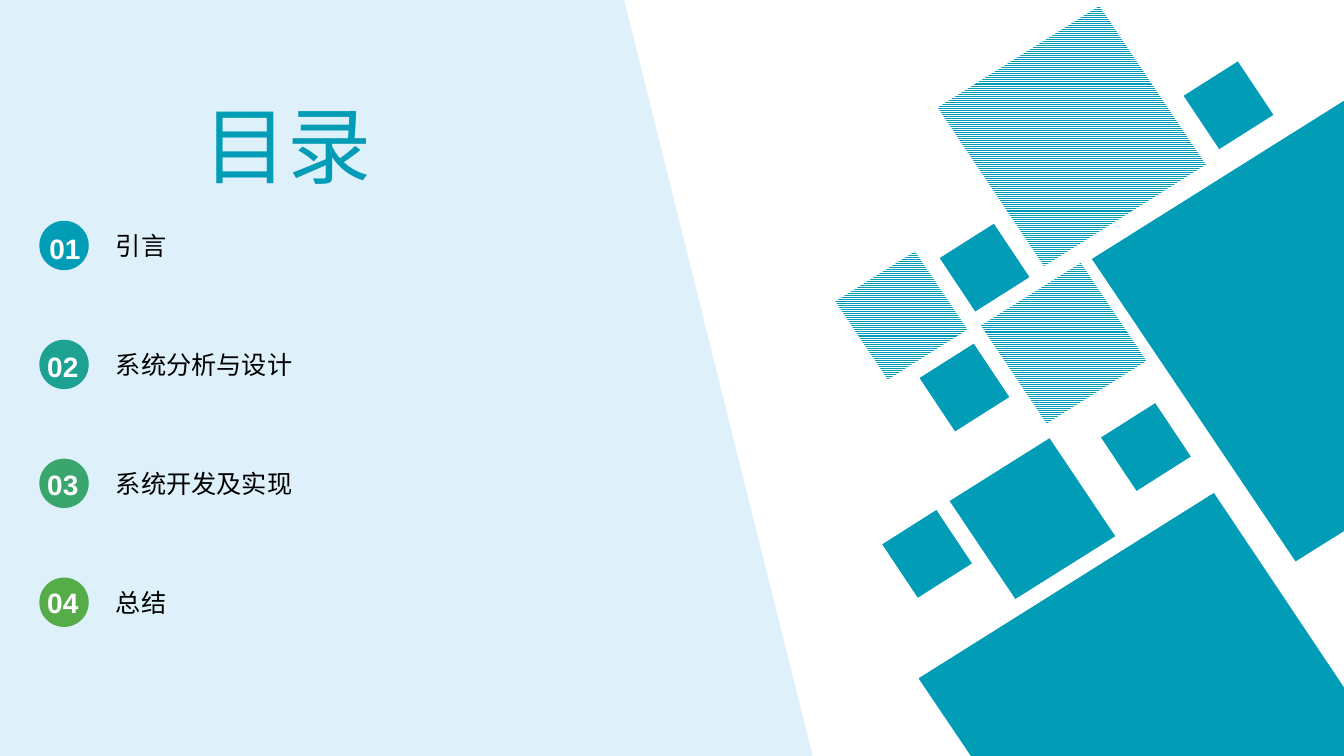
import pptx
import pptx.util
import pptx.dml.color
import pptx.enum.dml
import pptx.enum.shapes
import pptx.enum.text

Inches = pptx.util.Inches
SHAPE = pptx.enum.shapes.MSO_SHAPE
PATTERN = pptx.enum.dml.MSO_PATTERN
ANCHOR = pptx.enum.text.MSO_ANCHOR
ALIGN = pptx.enum.text.PP_ALIGN

TEAL, WHITE, BLACK, PALE_BLUE = "019CB6", "FFFFFF", "000000", "DEF0FA"
FONT = "Arial"
LIGHT, DARK = PATTERN.LIGHT_HORIZONTAL, PATTERN.DARK_HORIZONTAL

TITLE = "目录"
CHAPTERS = [
    ("01", "引言", TEAL, 0.39),
    ("02", "系统分析与设计", "1DA192", 0.37),
    ("03", "系统开发及实现", "39A66E", 0.37),
    ("04", "总结", "55AC49", 0.37),
]
FIRST_TOP, CHAPTER_STEP, NUMBER_STEP = 2.19, 1.18, 1.17

PANEL = [(0, 0), (6.19, 0), (8.06, 7.5), (0, 7.5)]
LOWER_TILE = [(12.04, 4.89), (13.33, 6.82), (13.33, 7.5), (9.63, 7.5), (9.11, 6.73)]
RIGHT_TILE = [(13.33, 1), (10.83, 2.57), (12.85, 5.57), (13.33, 5.27)]

TILE_ROTATION = 12
SMALL, MIDDLE, MEDIUM, LARGE = (0.91, 0.89), (1.34, 1.3), (1.68, 1.63), (2.72, 2.64)
TILES = [
    (9.4, 4.33, MEDIUM, None),
    (9.11, 3.4, SMALL, None),
    (11.73, 0.6, SMALL, None),
    (9.71, 2.59, MEDIUM, LIGHT),
    (10.91, 3.99, SMALL, None),
    (9.27, 0.03, LARGE, LIGHT),
    (9.31, 2.21, SMALL, None),
    (8.27, 2.48, MIDDLE, LIGHT),
    (8.74, 5.05, SMALL, DARK),
]


def rgb(value):
    return pptx.dml.color.RGBColor.from_string(value)


def paint(shape, color, pattern=None):
    shape.shadow.inherit = False
    shape.line.fill.background()
    if pattern is None:
        shape.fill.solid()
        shape.fill.fore_color.rgb = rgb(color)
    else:
        shape.fill.patterned()
        shape.fill.pattern = pattern
        shape.fill.fore_color.rgb = rgb(color)
        shape.fill.back_color.rgb = rgb(WHITE)


def add_outline(slide, points, color, pattern=None):
    corners = [(Inches(x), Inches(y)) for x, y in points]
    builder = slide.shapes.build_freeform(*corners[0])
    builder.add_line_segments(corners[1:], close=True)
    paint(builder.convert_to_shape(), color, pattern)


def add_preset(slide, kind, left, top, size, color, pattern=None, rotation=0):
    shape = slide.shapes.add_shape(kind, Inches(left), Inches(top), *map(Inches, size))
    shape.rotation = rotation
    paint(shape, color, pattern)


def add_text(slide, text, left, top, width, height, size, color, bold=False, align=ALIGN.LEFT):
    box = slide.shapes.add_textbox(*map(Inches, (left, top, width, height)))
    frame = box.text_frame
    frame.word_wrap = True
    frame.text = text
    paragraph = frame.paragraphs[0]
    paragraph.alignment = align
    paragraph.font.name = FONT
    paragraph.font.size = pptx.util.Pt(size)
    paragraph.font.bold = bold
    paragraph.font.color.rgb = rgb(color)
    return frame


def main():
    deck = pptx.Presentation()
    deck.slide_width, deck.slide_height = Inches(13.33), Inches(7.5)
    slide = deck.slides.add_slide(deck.slide_layouts[6])

    add_outline(slide, PANEL, PALE_BLUE)
    add_outline(slide, LOWER_TILE, TEAL, DARK)
    add_outline(slide, RIGHT_TILE, TEAL)
    for left, top, size, pattern in TILES:
        add_preset(slide, SHAPE.DIAMOND, left, top, size, TEAL, pattern, TILE_ROTATION)

    for index, (number, chapter, color, number_left) in enumerate(CHAPTERS):
        top = FIRST_TOP + index * CHAPTER_STEP
        label = add_text(slide, chapter, 1.04, top - 0.08, 5.6, 0.65, 18, BLACK)
        label.vertical_anchor = ANCHOR.MIDDLE
        label.margin_left, label.margin_right = Inches(0.11), Inches(0.09)
        label.margin_top = label.margin_bottom = 0
        add_preset(slide, SHAPE.OVAL, 0.39, top, (0.49, 0.49), color)
        number_top = FIRST_TOP + 0.06 + index * NUMBER_STEP
        add_text(slide, number, number_left, number_top, 0.59, 0.44, 20, WHITE, bold=True)

    add_text(slide, TITLE, 1.37, 0.88, 2.96, 1.11, 60, TEAL, align=ALIGN.CENTER)
    deck.save("out.pptx")


if __name__ == "__main__":
    main()
